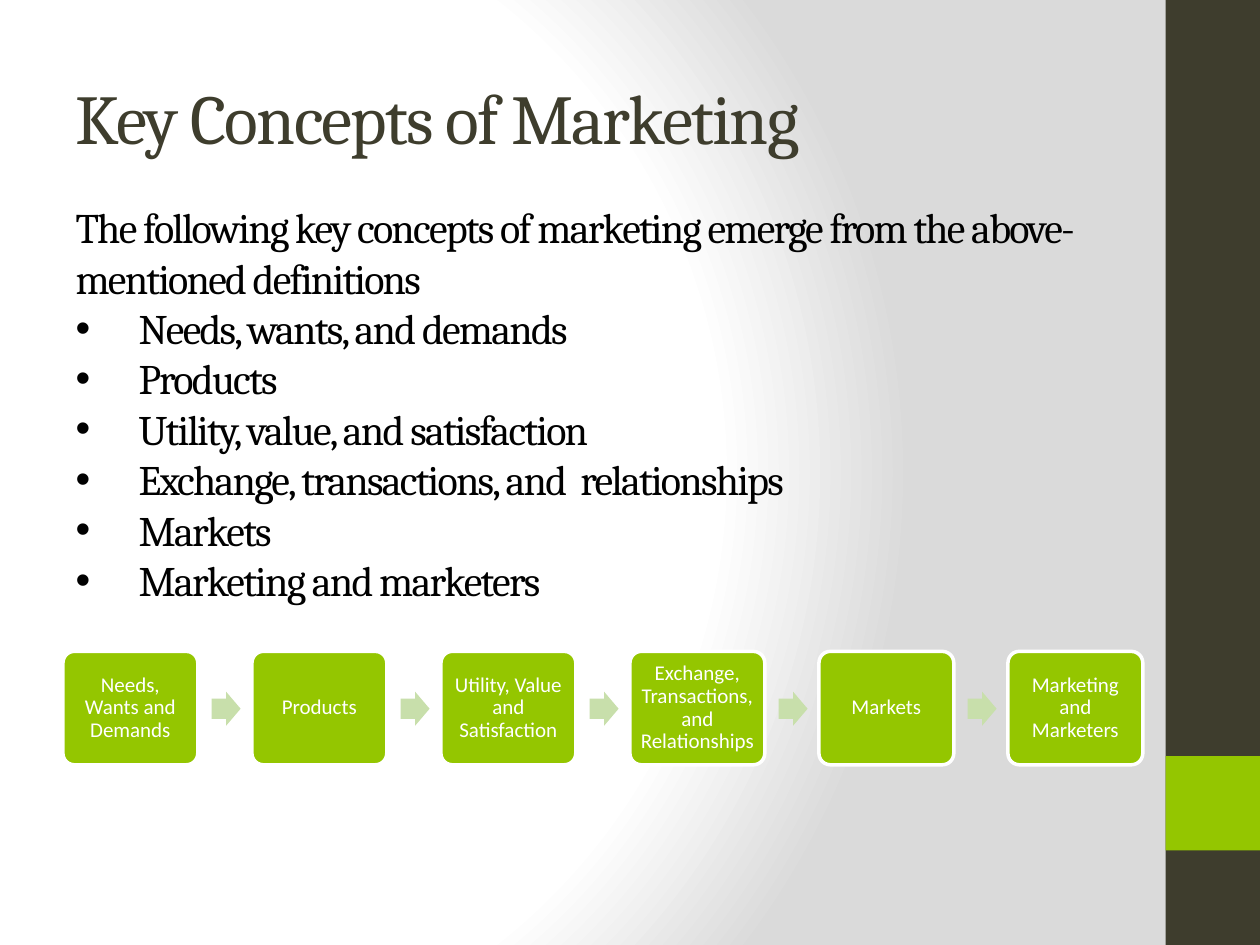
from dataclasses import dataclass

from lxml import etree
from pptx import Presentation
from pptx.dml.color import RGBColor
from pptx.enum.shapes import MSO_SHAPE
from pptx.enum.text import MSO_ANCHOR, MSO_AUTO_SIZE, PP_ALIGN
from pptx.oxml import parse_xml
from pptx.oxml.ns import nsdecls, qn
from pptx.util import Pt

RECT = MSO_SHAPE.RECTANGLE
ROUND = MSO_SHAPE.ROUNDED_RECTANGLE
ARROW = MSO_SHAPE.RIGHT_ARROW
MIDDLE = MSO_ANCHOR.MIDDLE
TOP = MSO_ANCHOR.TOP
LEFT = PP_ALIGN.LEFT
CENTER = PP_ALIGN.CENTER
FIXED = MSO_AUTO_SIZE.NONE

SCALE = 9144
COLORS = {
    "dark": "3E3D2D",
    "green": "94C600",
    "pale": "C8DFAB",
    "white": "FFFFFF",
    "gray": "DADADA",
    "black": "000000",
}
STOPS = [(0, "white"), (75, "white"), (100, "gray")]
INTRO = "The following key concepts of marketing emerge from the above-mentioned definitions"
POINTS = [
    "Needs, wants, and demands",
    "Products",
    "Utility, value, and satisfaction",
    "Exchange, transactions, and  relationships",
    "Markets",
    "Marketing and marketers",
]
STEPS = [
    "Needs, Wants and Demands",
    "Products",
    "Utility, Value and Satisfaction",
    "Exchange, Transactions, and Relationships",
    "Markets",
    "Marketing and Marketers",
]
PITCH = 150


@dataclass
class Box:
    x: int
    y: int
    w: int
    h: int


@dataclass
class Style:
    font: str
    size: int
    color: str
    align: int
    space: int = 0


HEAD = Style("Cambria", 40, "dark", LEFT, -100)
BODY = Style("Cambria", 24, "black", LEFT, -100)
LABEL = Style("Calibri", 12, "white", CENTER)


def px(n: int) -> int:
    return n * SCALE


def rgb(name: str) -> RGBColor:
    return RGBColor.from_string(COLORS[name])


def assign(obj, values: dict) -> None:
    for key, value in values.items():
        setattr(obj, key, value)


def place(shape, box: Box) -> None:
    assign(shape, {"left": px(box.x), "top": px(box.y),
                   "width": px(box.w), "height": px(box.h)})


def write(para, text: str, style: Style, line: float = 1.0) -> None:
    assign(para, {"alignment": style.align, "line_spacing": line,
                  "space_before": Pt(0), "space_after": Pt(0)})
    run = para.add_run()
    run.text = text
    assign(run.font, {"name": style.font, "size": Pt(style.size), "bold": False})
    run.font.color.rgb = rgb(style.color)
    if style.space:
        run.font._element.set("spc", str(style.space))


def bullet(para, mark: str, indent: int) -> None:
    props = para._p.get_or_add_pPr()
    props.set("marL", str(px(indent)))
    props.set("indent", str(-px(indent)))
    if mark:
        etree.SubElement(props, qn("a:buFont")).set("typeface", "Arial")
        etree.SubElement(props, qn("a:buChar")).set("char", mark)
    else:
        etree.SubElement(props, qn("a:buNone"))


def draw(slide, kind: int, box: Box, color: str, adjust: tuple = ()):
    shape = slide.shapes.add_shape(kind, px(box.x), px(box.y), px(box.w), px(box.h))
    shape.shadow.inherit = False
    shape.fill.solid()
    shape.fill.fore_color.rgb = rgb(color)
    shape.line.fill.background()
    for i, value in enumerate(adjust):
        shape.adjustments[i] = value
    return shape


def shade(slide) -> None:
    stops = "".join(
        f'<a:gs pos="{pos * 1000}"><a:srgbClr val="{COLORS[name]}"/></a:gs>'
        for pos, name in STOPS)
    slide.element.cSld.insert(0, parse_xml(
        f'<p:bg {nsdecls("p", "a")}><p:bgPr><a:gradFill rotWithShape="1">'
        f'<a:gsLst>{stops}</a:gsLst><a:path path="circle">'
        '<a:fillToRect l="20000" t="50000" r="100000" b="50000"/></a:path>'
        '</a:gradFill><a:effectLst/></p:bgPr></p:bg>'))


def card(slide, text: str, x: int) -> None:
    shape = draw(slide, ROUND, Box(x, 517, 107, 90), "green", (0.1,))
    shape.line.color.rgb = rgb("white")
    shape.line.width = Pt(2)
    frame = shape.text_frame
    assign(frame, {"word_wrap": True, "vertical_anchor": MIDDLE})
    assign(frame, {f"margin_{side}": px(5) for side in ("left", "right", "top", "bottom")})
    write(frame.paragraphs[0], text, LABEL, 0.9)


def main() -> None:
    deck = Presentation()
    assign(deck, {"slide_width": px(1000), "slide_height": px(750)})
    slide = deck.slides.add_slide(deck.slide_layouts[1])
    shade(slide)
    draw(slide, RECT, Box(925, 0, 75, 750), "dark")
    draw(slide, RECT, Box(925, 600, 75, 75), "green")

    title = slide.shapes.title
    place(title, Box(50, 30, 833, 125))
    assign(title.text_frame, {"auto_size": FIXED, "vertical_anchor": MIDDLE})
    write(title.text_frame.paragraphs[0], "Key Concepts of Marketing", HEAD)

    body = slide.placeholders[1]
    place(body, Box(50, 155, 833, 517))
    frame = body.text_frame
    assign(frame, {"auto_size": FIXED, "vertical_anchor": TOP})
    bullet(frame.paragraphs[0], "", 0)
    write(frame.paragraphs[0], INTRO, BODY)
    for text in POINTS:
        para = frame.add_paragraph()
        bullet(para, "•", 50)
        write(para, text, BODY)

    for i, text in enumerate(STEPS):
        x = 50 + i * PITCH
        if i:
            draw(slide, ARROW, Box(x - 32, 549, 23, 27), "pale", (0.6, 0.5))
        card(slide, text, x)
    deck.save("out.pptx")


if __name__ == "__main__":
    main()
